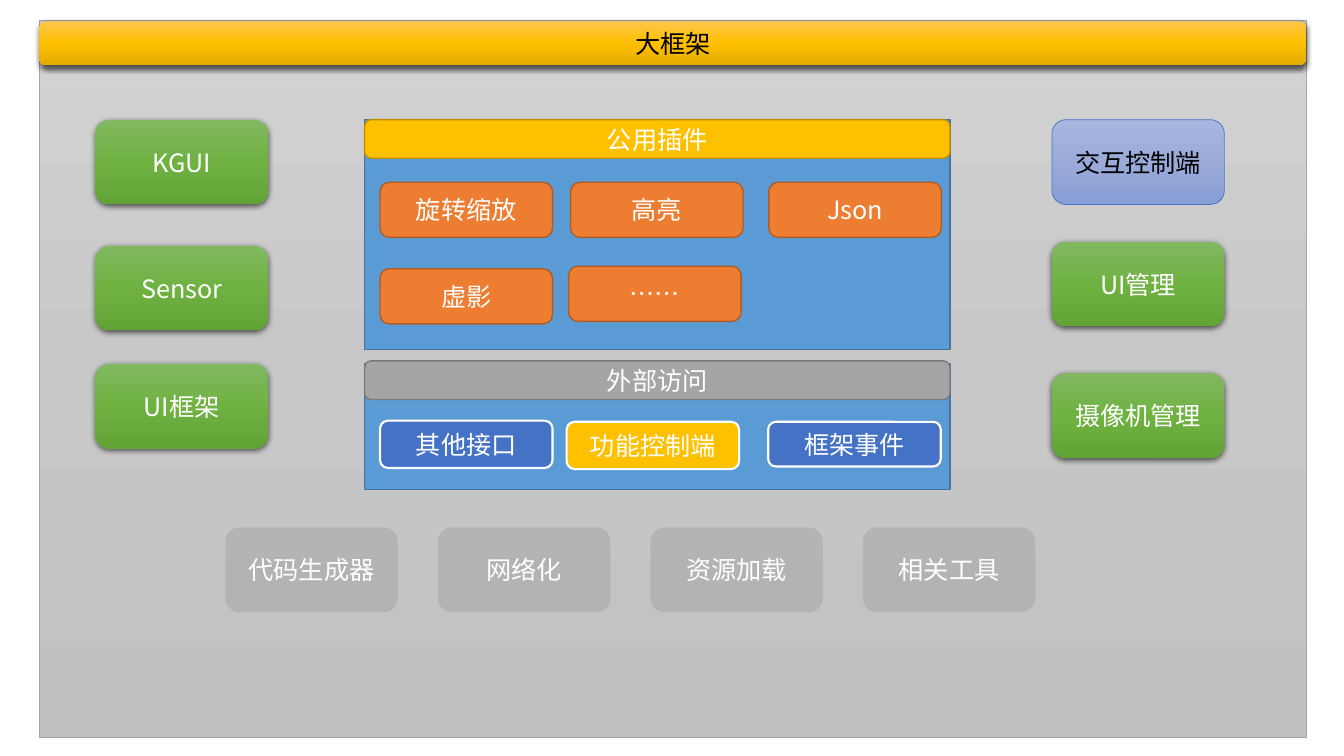
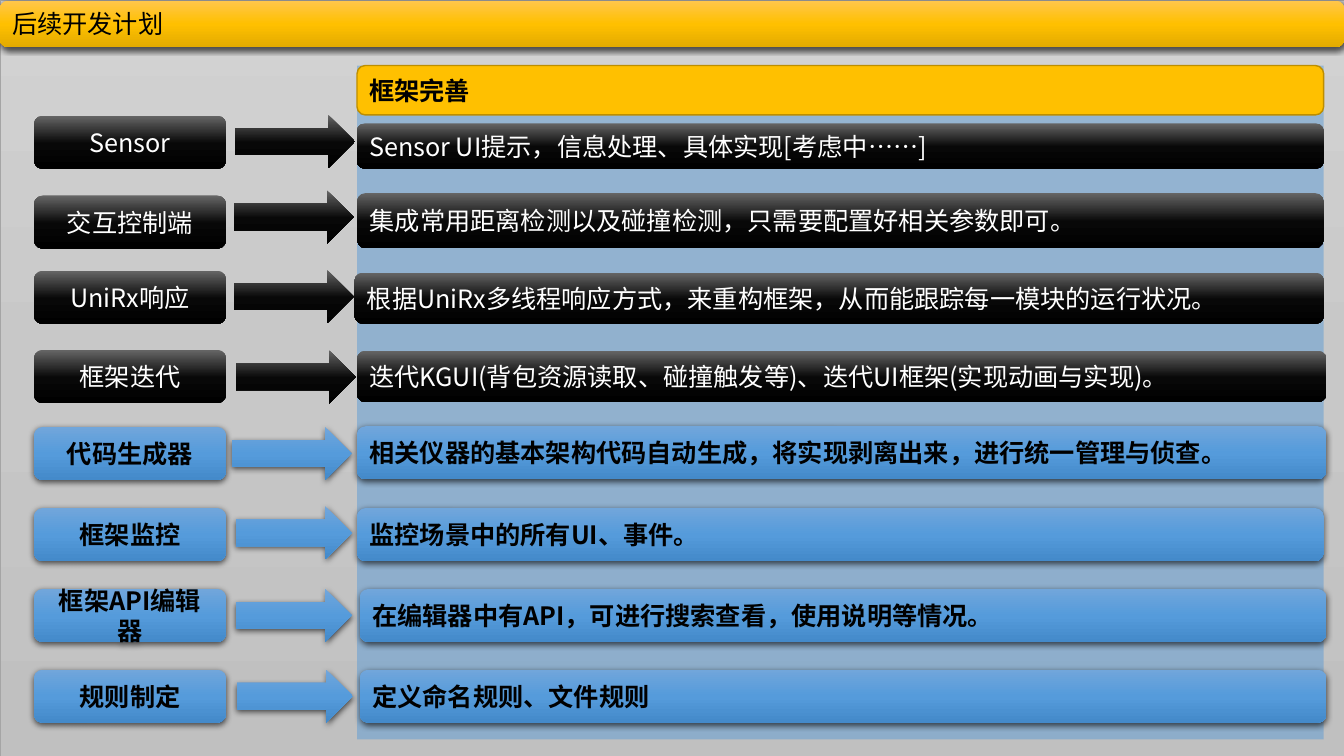
from dataclasses import dataclass

from lxml import etree
from pptx import Presentation
from pptx.dml.color import RGBColor
from pptx.enum import shapes, text
from pptx.oxml.ns import qn
from pptx.util import Pt


@dataclass(frozen=True)
class Style:
    fill: object
    ink: str = "FFFFFF"
    line: str = ""
    line_width: float = 1
    bold: bool = False
    shadow: bool = False
    alpha: int = 100


class Theme:
    font = "Noto Sans CJK SC"
    size = 18
    slide_size = (960, 540)
    backdrop = Style(((0, "D2D2D2"), (50, "C8C8C8"), (100, "C0C0C0")), line="A5A5A5", line_width=0.5)
    title = Style(((0, "FFC64B"), (50, "FFC000"), (100, "E3AB00")), ink="000000", shadow=True)
    module = Style(((0, "81B861"), (50, "6FB242"), (100, "62A336")), shadow=True)
    control = Style(((0, "A8B7DF"), (50, "9AABD9"), (100, "889ED7")), ink="000000",
                    line="4472C4", line_width=0.5)
    inactive = Style("A5A5A5", alpha=50)
    panel = Style("5B9BD5", line="43739E")
    yellow_header = Style("FFC000", line="BD8E00")
    gray_header = Style("A5A5A5", line="7A7A7A")
    plugin = Style("ED7D31", line="AF5C24")
    interface = Style("4472C4", line="FFFFFF", line_width=1.5)
    function = Style("FFC000", line="FFFFFF", line_width=1.5)
    plan_panel = Style("5B9BD5", alpha=50)
    plan_header = Style("FFC000", ink="000000", line="BD8E00", bold=True)
    current = Style(((0, "666666"), (52, "080808"), (100, "000000")))
    future = Style(((0, "71A6DB"), (50, "559BDB"), (100, "448ACA")), ink="000000",
                   bold=True, shadow=True)


RECTANGLE = shapes.MSO_SHAPE.RECTANGLE
ROUNDED = shapes.MSO_SHAPE.ROUNDED_RECTANGLE
ARROW = shapes.MSO_SHAPE.RIGHT_ARROW
LEFT = text.PP_ALIGN.LEFT
CENTER = text.PP_ALIGN.CENTER

MODULE_SIZE = (123.2, 60.6)
MODULE_COLUMNS = [
    (68.2, [("KGUI", 85.5, Theme.module), ("Sensor", 175.5, Theme.module),
            ("UI框架", 259.8, Theme.module)]),
    (751.4, [("交互控制端", 85.5, Theme.control), ("UI管理", 172.6, Theme.module),
             ("摄像机管理", 266.6, Theme.module)]),
]
TOOLS = ["代码生成器", "网络化", "资源加载", "相关工具"]
TOOLS_LEFT, TOOLS_TOP, TOOLS_STEP = 161, 376.7, 151.8

PANEL_LEFT, PANEL_WIDTH, HEADER_HEIGHT = 260.4, 418.2, 27.6
PANELS = [
    ("外部访问", Theme.gray_header, 257.8, 260, 89.7, [
        ("其他接口", Theme.interface, 271.5, 300.5, 33.8),
        ("功能控制端", Theme.function, 404.8, 301.3, 33.8),
        ("框架事件", Theme.interface, 548.8, 301.3, 31.9)]),
    ("公用插件", Theme.yellow_header, 85.5, 85.5, 164, [
        ("旋转缩放", Theme.plugin, 271.5, 130.2, 39.4),
        ("高亮", Theme.plugin, 407.6, 130.2, 39.4),
        ("Json", Theme.plugin, 549.2, 130.2, 39.4),
        ("虚影", Theme.plugin, 271.5, 192, 39.4),
        ("……", Theme.plugin, 406.2, 190.2, 39.4)]),
]

LABEL_LEFT, LABEL_WIDTH, ROW_HEIGHT = 24.3, 137.2, 38
PLAN_LEFT, PLAN_WIDTH = 255, 690.5
PLAN = [
    (Theme.current, [
        ("Sensor", "Sensor UI提示，信息处理、具体实现[考虑中……]",
         82.6, (167.8, 82, 85.7), (255, 88.2, 690.5, 32.2)),
        ("交互控制端", "集成常用距离检测以及碰撞检测，只需要配置好相关参数即可。",
         139.6, (167, 136, 85.7), (255, 137.8, 690.5, 39.6)),
        ("UniRx响应", "根据UniRx多线程响应方式，来重构框架，从而能跟踪每一模块的运行状况。",
         193.4, (167, 192.8, 85.7), (253.2, 194.8, 692.5, 36.5)),
        ("框架迭代", "迭代KGUI(背包资源读取、碰撞触发等)、迭代UI框架(实现动画与实现)。",
         249.9, (168.5, 250.2, 85.7), (255, 250.5, 692.5, 36.7))]),
    (Theme.future, [
        ("代码生成器", "相关仪器的基本架构代码自动生成，将实现剥离出来，进行统一管理与侦查。",
         304.9, (165.5, 304.9, 85.7), (255, 304.4, 692.5, 38)),
        ("框架监控", "监控场景中的所有UI、事件。",
         362.8, (168.5, 361.6, 82.8), (255, 362.8, 690.5, 38)),
        ("框架API编辑器", "在编辑器中有API，可进行搜索查看，使用说明等情况。",
         420.6, (168.5, 420.6, 82.8), (257, 420.6, 690.5, 38)),
        ("规则制定", "定义命名规则、文件规则",
         478.3, (169.2, 478.3, 82.8), (257, 478.3, 690.5, 38))]),
]


def add_color(parent, color, alpha=100):
    element = etree.SubElement(parent, qn("a:srgbClr"), val=color)
    if alpha < 100:
        etree.SubElement(element, qn("a:alpha"), val=str(alpha * 1000))


def paint_fill(shape, style):
    if isinstance(style.fill, str):
        shape.fill.solid()
        shape.fill.fore_color.rgb = RGBColor.from_string(style.fill)
        if style.alpha < 100:
            color = shape._element.spPr.find(qn("a:solidFill"))[0]
            etree.SubElement(color, qn("a:alpha"), val=str(style.alpha * 1000))
        return
    shape.fill.gradient()
    shape.fill.gradient_angle = 270
    stops = shape._element.spPr.find(qn("a:gradFill")).find(qn("a:gsLst"))
    for stop in list(stops):
        stops.remove(stop)
    for position, color in style.fill:
        add_color(etree.SubElement(stops, qn("a:gs"), pos=str(position * 1000)), color)


def paint_line(shape, style):
    if style.line:
        shape.line.color.rgb = RGBColor.from_string(style.line)
        shape.line.width = Pt(style.line_width)
    else:
        shape.line.fill.background()


def paint_shadow(shape, style):
    shape.shadow.inherit = False
    if style.shadow:
        effects = shape._element.spPr.find(qn("a:effectLst"))
        shadow = etree.SubElement(effects, qn("a:outerShdw"), blurRad=str(Pt(4.5)),
                                  dist=str(Pt(1.5)), dir="5400000", algn="ctr", rotWithShape="0")
        add_color(shadow, "000000", 63)


def write_text(shape, content, style, alignment):
    frame = shape.text_frame
    frame.text = content
    frame.word_wrap = True
    frame.vertical_anchor = text.MSO_ANCHOR.MIDDLE
    paragraph = frame.paragraphs[0]
    paragraph.alignment = alignment
    for run in paragraph.runs:
        run.font.name = Theme.font
        run.font.size = Pt(Theme.size)
        run.font.bold = style.bold
        run.font.color.rgb = RGBColor.from_string(style.ink)
        etree.SubElement(run.font._element, qn("a:ea"), typeface=Theme.font)


def add_box(slide, kind, bounds, style, content="", alignment=CENTER):
    shape = slide.shapes.add_shape(kind, *(Pt(length) for length in bounds))
    paint_fill(shape, style)
    paint_line(shape, style)
    paint_shadow(shape, style)
    if content:
        write_text(shape, content, style, alignment)


def add_framed_slide(presentation, frame, title, title_top, title_height, alignment):
    slide = presentation.slides.add_slide(presentation.slide_layouts[6])
    add_box(slide, RECTANGLE, frame, Theme.backdrop)
    add_box(slide, ROUNDED, (frame[0], title_top, frame[2], title_height),
            Theme.title, title, alignment)
    return slide


def build_framework(presentation):
    slide = add_framed_slide(presentation, (28, 14.4, 905.2, 512), "大框架", 15.3, 31.3, CENTER)
    for left, modules in MODULE_COLUMNS:
        for name, top, style in modules:
            add_box(slide, ROUNDED, (left, top, *MODULE_SIZE), style, name)
    for index, name in enumerate(TOOLS):
        left = TOOLS_LEFT + index * TOOLS_STEP
        add_box(slide, ROUNDED, (left, TOOLS_TOP, *MODULE_SIZE), Theme.inactive, name)
    for name, header_style, header_top, top, height, items in PANELS:
        add_box(slide, RECTANGLE, (PANEL_LEFT, top, PANEL_WIDTH, height), Theme.panel)
        add_box(slide, ROUNDED, (PANEL_LEFT, header_top, PANEL_WIDTH, HEADER_HEIGHT),
                header_style, name)
        for item, style, left, item_top, item_height in items:
            add_box(slide, ROUNDED, (left, item_top, MODULE_SIZE[0], item_height), style, item)


def build_plan(presentation):
    slide = add_framed_slide(presentation, (0, 0, *Theme.slide_size), "后续开发计划", 0.6, 33, LEFT)
    add_box(slide, RECTANGLE, (PLAN_LEFT, 46.8, PLAN_WIDTH, 481.4), Theme.plan_panel)
    add_box(slide, ROUNDED, (PLAN_LEFT, 46.8, PLAN_WIDTH, 35.3), Theme.plan_header, "框架完善", LEFT)
    for style, rows in PLAN:
        for label, detail, top, arrow, bounds in rows:
            add_box(slide, ROUNDED, (LABEL_LEFT, top, LABEL_WIDTH, ROW_HEIGHT), style, label)
            add_box(slide, ROUNDED, bounds, style, detail, LEFT)
            add_box(slide, ARROW, (*arrow, ROW_HEIGHT), style)


def main():
    presentation = Presentation()
    presentation.slide_width, presentation.slide_height = map(Pt, Theme.slide_size)
    build_framework(presentation)
    build_plan(presentation)
    presentation.save("out.pptx")


if __name__ == "__main__":
    main()
